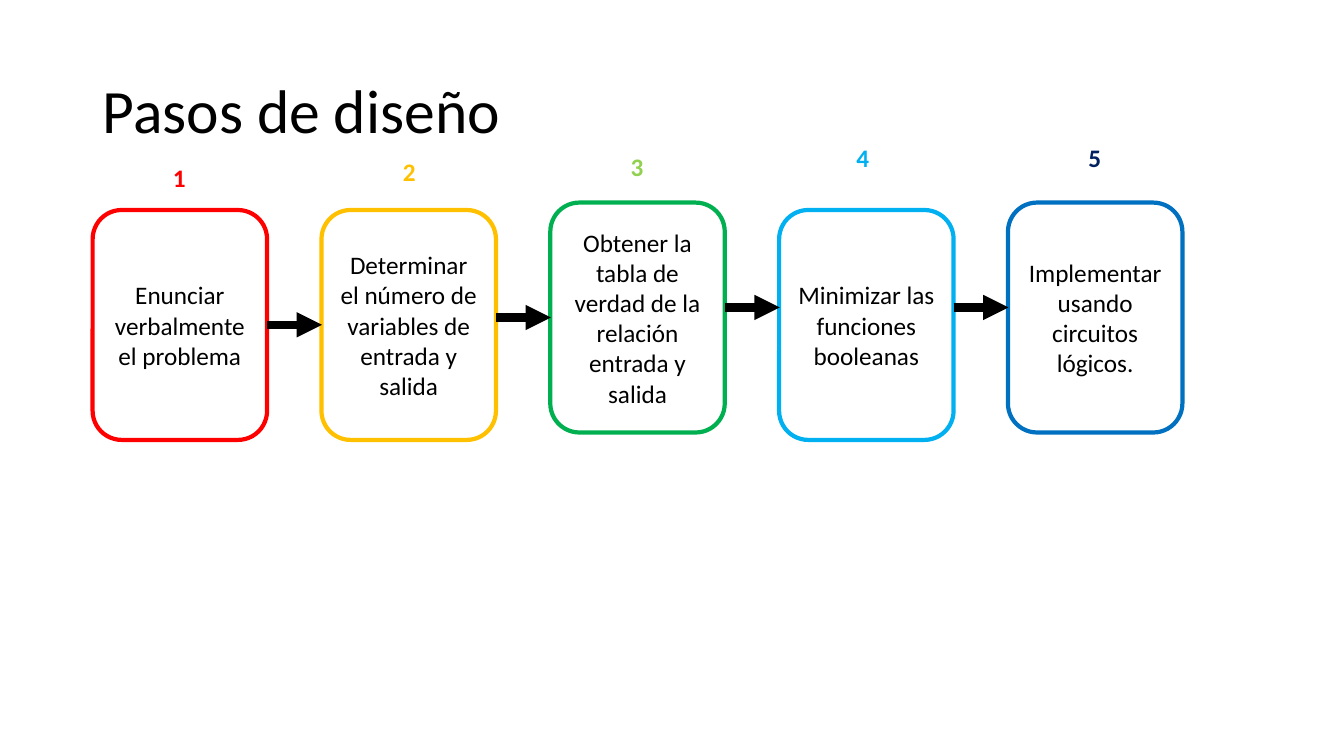
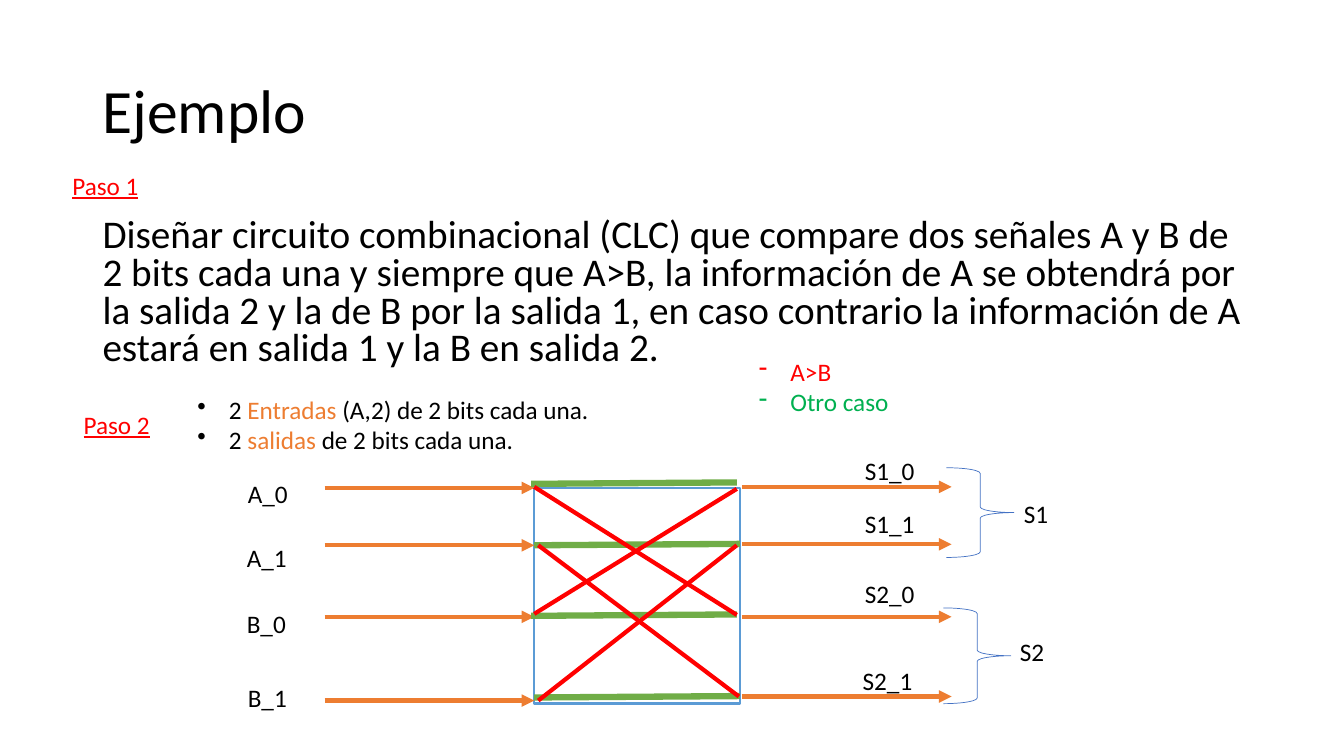
from lxml.etree import SubElement
from pptx import Presentation
from pptx.dml.color import RGBColor
from pptx.enum.shapes import MSO_CONNECTOR, MSO_SHAPE as SHAPE
from pptx.enum.text import MSO_ANCHOR as ANCHOR, PP_ALIGN as ALIGN
from pptx.oxml.ns import qn
from pptx.util import Pt

FONT = "Calibri"
BLACK = RGBColor(0x00, 0x00, 0x00)
WHITE = RGBColor(0xFF, 0xFF, 0xFF)
RED = RGBColor(0xFF, 0x00, 0x00)
AMBER = RGBColor(0xFF, 0xC0, 0x00)
GREEN = RGBColor(0x00, 0xB0, 0x50)
LIME = RGBColor(0x92, 0xD0, 0x50)
SKY = RGBColor(0x00, 0xB0, 0xF0)
BLUE = RGBColor(0x00, 0x70, 0xC0)
NAVY = RGBColor(0x00, 0x20, 0x60)
ORANGE = RGBColor(0xED, 0x7D, 0x31)
LEAF = RGBColor(0x70, 0xAD, 0x47)
FRAME_BLUE = RGBColor(0x5B, 0x9B, 0xD5)
BRACE_BLUE = RGBColor(0x44, 0x72, 0xC4)


def write(box, *lines, size=18, color=BLACK, align=ALIGN.LEFT, bullet=None):
    """Fill a box with lines, each a list of (text, colour) spans or a plain string."""
    frame = box.text_frame
    frame.word_wrap = True
    for index, line in enumerate(lines):
        para = frame.add_paragraph() if index else frame.paragraphs[0]
        para.alignment = align
        para.font.name = FONT
        para.font.size = Pt(size)
        para.font.color.rgb = color
        for text, span_color in [(line, color)] if isinstance(line, str) else line:
            span = para.add_run()
            span.text = text
            if span_color != color:
                span.font.color.rgb = span_color
        if bullet:
            props = para._p.get_or_add_pPr()
            props.set("marL", str(Pt(22.5)))
            props.set("indent", str(-Pt(22.5)))
            mark = props.makeelement(qn("a:buChar"), {"char": bullet})
            props.insert_element_before(mark, "a:tabLst", "a:defRPr", "a:extLst")
    return frame


def draw_line(page, start, end, color, width, arrow=False):
    line = page.shapes.add_connector(MSO_CONNECTOR.STRAIGHT, *map(Pt, start + end))
    line.line.color.rgb = color
    line.line.width = Pt(width)
    if arrow:
        SubElement(line.line._get_or_add_ln(), qn("a:tailEnd"), type="triangle")
    SubElement(line._element.spPr, qn("a:effectLst"))


deck = Presentation()
deck.slide_width, deck.slide_height = Pt(960), Pt(540)

pages = []
for heading in ("Pasos de diseño", "Ejemplo"):
    page = deck.slides.add_slide(deck.slide_layouts[6])
    title = page.shapes.add_textbox(Pt(66.2), Pt(28.8), Pt(828), Pt(104.4))
    frame = write(title, heading, size=44)
    frame.vertical_anchor = ANCHOR.MIDDLE
    frame.paragraphs[0].line_spacing = 0.9
    pages.append(page)
steps_page, example_page = pages

# Design steps: text, outline, box top, number colour, number left, number top
STEPS = [
    ("Enunciar verbalmente el problema", RED, 150, RED, 110, 112.3),
    ("Determinar el número de variables de entrada y salida",
     AMBER, 150, AMBER, 274.3, 108),
    ("Obtener la tabla de verdad de la relación entrada y salida",
     GREEN, 144.7, LIME, 437, 104.4),
    ("Minimizar las funciones booleanas", SKY, 150, SKY, 598.3, 97.9),
    ("Implementar usando circuitos lógicos.", BLUE, 144.7, NAVY, 764, 97.9),
]
STEP_LEFT, STEP_PITCH, STEP_WIDTH, STEP_HEIGHT = 66.2, 163.45, 124.6, 164.2

for index, (text, outline, top, number_color, number_left, number_top) in enumerate(STEPS):
    left = STEP_LEFT + index * STEP_PITCH
    step = steps_page.shapes.add_shape(
        SHAPE.ROUNDED_RECTANGLE, Pt(left), Pt(top), Pt(STEP_WIDTH), Pt(STEP_HEIGHT))
    step.shadow.inherit = False
    step.fill.solid()
    step.fill.fore_color.rgb = WHITE
    step.line.color.rgb = outline
    step.line.width = Pt(3)
    write(step, text, align=ALIGN.CENTER).vertical_anchor = ANCHOR.MIDDLE
    number = steps_page.shapes.add_textbox(Pt(number_left), Pt(number_top), Pt(36), Pt(29))
    frame = write(number, str(index + 1), color=number_color, align=ALIGN.CENTER)
    frame.paragraphs[0].font.bold = True

for index, y in enumerate((232, 226.8, 219.6, 219.6)):
    right = STEP_LEFT + index * STEP_PITCH + STEP_WIDTH
    draw_line(steps_page, (right, y), (right + 39.2, y), BLACK, 6, arrow=True)

# Example: statement and notes
shapes = example_page.shapes
statement = shapes.add_textbox(Pt(66.2), Pt(152.6), Pt(828), Pt(126))
frame = write(
    statement,
    "Diseñar circuito combinacional (CLC) que compare dos señales A y B de 2 bits "
    "cada una y siempre que A>B, la información de A se obtendrá por la salida 2 y "
    "la de B por la salida 1, en caso contrario la información de A estará en "
    "salida 1 y la B en salida 2.",
    size=28)
frame.paragraphs[0].line_spacing = 0.8
frame.paragraphs[0].space_before = Pt(10)

for text, left, top in (("Paso 1", 44.6, 118.1), ("Paso 2", 52.6, 288.7)):
    label = shapes.add_textbox(Pt(left), Pt(top), Pt(70.6), Pt(29))
    write(label, text, color=RED).paragraphs[0].font.underline = True

signals = shapes.add_textbox(Pt(134), Pt(278), Pt(321), Pt(51))
write(signals,
      [("2 ", BLACK), ("Entradas", ORANGE), (" (A,2) de 2 bits cada una.", BLACK)],
      [("2 ", BLACK), ("salidas", ORANGE), (" de 2 bits cada una.", BLACK)],
      bullet="•")

legend = shapes.add_textbox(Pt(535), Pt(250.6), Pt(141), Pt(51))
legend.fill.solid()
legend.fill.fore_color.rgb = WHITE
write(legend, [("A>B", RED)], [("Otro caso", GREEN)], bullet="-")

# Example: switching block with its signals
block = shapes.add_shape(SHAPE.RECTANGLE, Pt(381.6), Pt(348.5), Pt(146.9), Pt(154.1))
block.shadow.inherit = False
block.fill.solid()
block.fill.fore_color.rgb = WHITE
block.line.color.rgb = FRAME_BLUE
block.line.width = Pt(1.5)

for left, ys in ((231.8, (348.5, 389.5, 440.6, 500.4)),
                 (529.9, (347.8, 388.8, 440.6, 497.5))):
    for y in ys:
        draw_line(example_page, (left, y), (left + 149.8, y), ORANGE, 3, arrow=True)

for left, y in ((379.4, 345.6), (381.6, 389.5), (379.4, 439.9), (381.6, 498.2)):
    draw_line(example_page, (left, y), (left + 146.9, y - 1), LEAF, 4.5)

CROSSINGS = [
    ((381.6, 347.8), (526.3, 439.2)),
    ((384.5, 389.5), (527.8, 497.5)),
    ((381.6, 438.5), (526.3, 349.2)),
    ((384.5, 500.4), (526.3, 389.5)),
]
for start, end in CROSSINGS:
    draw_line(example_page, start, end, RED, 3)

for left, top, height in ((676.1, 334.1, 64.1), (673.9, 434.2, 68.4)):
    brace = shapes.add_shape(SHAPE.RIGHT_BRACE, Pt(left), Pt(top), Pt(48.2), Pt(height))
    brace.shadow.inherit = False
    brace.fill.background()
    brace.line.color.rgb = BRACE_BLUE
    brace.line.width = Pt(0.5)

SIGNAL_LABELS = [
    ("A_0", 169.9, 338.4), ("A_1", 169.2, 383.8),
    ("B_0", 169.2, 430.6), ("B_1", 169.9, 483.8),
    ("S1_0", 610.6, 321.8), ("S1_1", 610.6, 359.3),
    ("S2_0", 610.6, 409.7), ("S2_1", 609.1, 471.6),
    ("S1", 724.3, 352.1), ("S2", 721.4, 450.7),
]
for text, left, top in SIGNAL_LABELS:
    write(shapes.add_textbox(Pt(left), Pt(top), Pt(62), Pt(29)), text)

deck.save("out.pptx")
